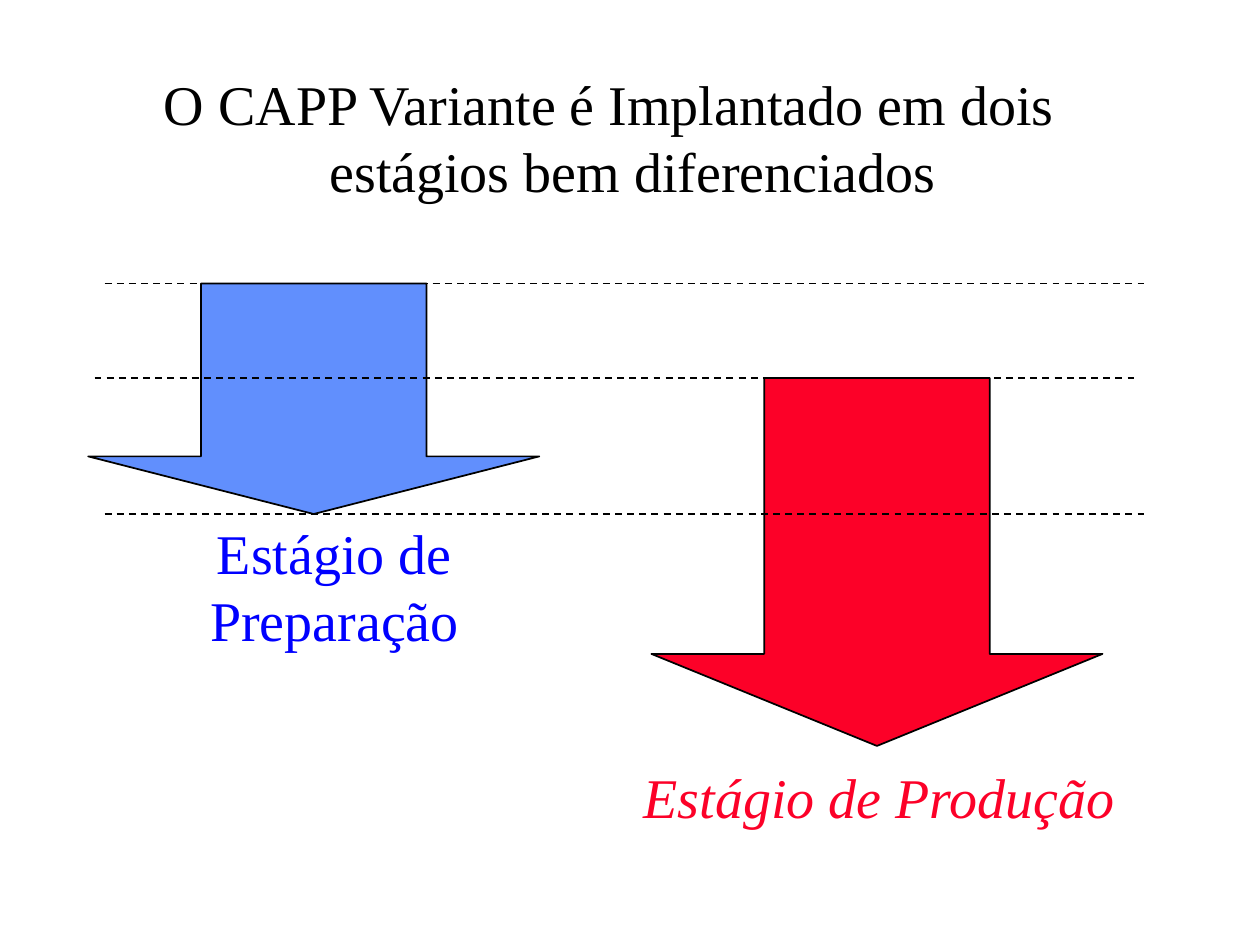
"""Build the slide on the two stages of variant CAPP."""
import pptx
import pptx.util
import pptx.dml.color
import pptx.enum.dml
import pptx.enum.shapes
import pptx.enum.text
import lxml.etree

Inches, Pt = pptx.util.Inches, pptx.util.Pt
NS = "http://schemas.openxmlformats.org/drawingml/2006/main"
FONT, SIZE, BLACK = "Times New Roman", 32, "000000"
TITLE = ("O CAPP Variante é Implantado em dois estágios bem diferenciados",
         (0.75, 0.5, 8.17, 1.17))
LABELS = [
    ("Estágio de Preparação", (0.58, 4.33, 4.15, 0.64), "0000FF", False),
    ("Estágio de Produção", (5, 6, 3.96, 0.64), "FC0128", True),
]
ARROWS = [(0.7, 2.25, 1.83, "618FFD"), (5.17, 3, 2.92, "FC0128")]
WIDE = 3.58
RULES = [(0.83, 2.25), (0.75, 3), (0.83, 4.08)]
SPAN = 8.25


def paint(part, color):
    part.rgb = pptx.dml.color.RGBColor.from_string(color)


def stroke(line):
    paint(line.fill_color if hasattr(line, "fill_color") else line.color, BLACK)
    line.width = Pt(1)


def write(slide, text, rect, color=BLACK, slant=False, wrap=False):
    box = slide.shapes.add_textbox(*map(Inches, rect))
    frame = box.text_frame
    frame.word_wrap = wrap
    if not wrap:
        frame.vertical_anchor = pptx.enum.text.MSO_ANCHOR.MIDDLE
        frame.auto_size = pptx.enum.text.MSO_AUTO_SIZE.SHAPE_TO_FIT_TEXT
    para = frame.paragraphs[0]
    para.alignment = pptx.enum.text.PP_ALIGN.CENTER
    run = para.add_run()
    run.text = text
    run.font.name, run.font.size = FONT, Pt(SIZE)
    run.font.italic = slant
    paint(run.font.color, color)
    return para


def arrow(slide, left, top, high, color):
    kind = pptx.enum.shapes.MSO_SHAPE.DOWN_ARROW
    shape = slide.shapes.add_shape(
        kind, *map(Inches, (left, top, WIDE, high)))
    shape.adjustments[0], shape.adjustments[1] = 0.5, 0.25
    shape.shadow.inherit = False
    shape.fill.solid()
    paint(shape.fill.fore_color, color)
    stroke(shape.line)


def rule(slide, left, top):
    kind = pptx.enum.shapes.MSO_CONNECTOR.STRAIGHT
    line = slide.shapes.add_connector(
        kind, *map(Inches, (left, top, left + SPAN, top)))
    stroke(line.line)
    line.line.dash_style = pptx.enum.dml.MSO_LINE.DASH
    lxml.etree.SubElement(line._element.spPr, f"{{{NS}}}effectLst")


def main():
    deck = pptx.Presentation()
    deck.slide_width, deck.slide_height = Inches(10), Inches(7.5)
    slide = deck.slides.add_slide(deck.slide_layouts[6])
    props = write(slide, *TITLE, wrap=True)._p.get_or_add_pPr()
    props.set("marL", str(Inches(0.38)))
    props.set("indent", str(Inches(-0.38)))
    for item in ARROWS:
        arrow(slide, *item)
    for item in LABELS:
        write(slide, *item)
    for item in RULES:
        rule(slide, *item)
    deck.save("out.pptx")


if __name__ == "__main__":
    main()
